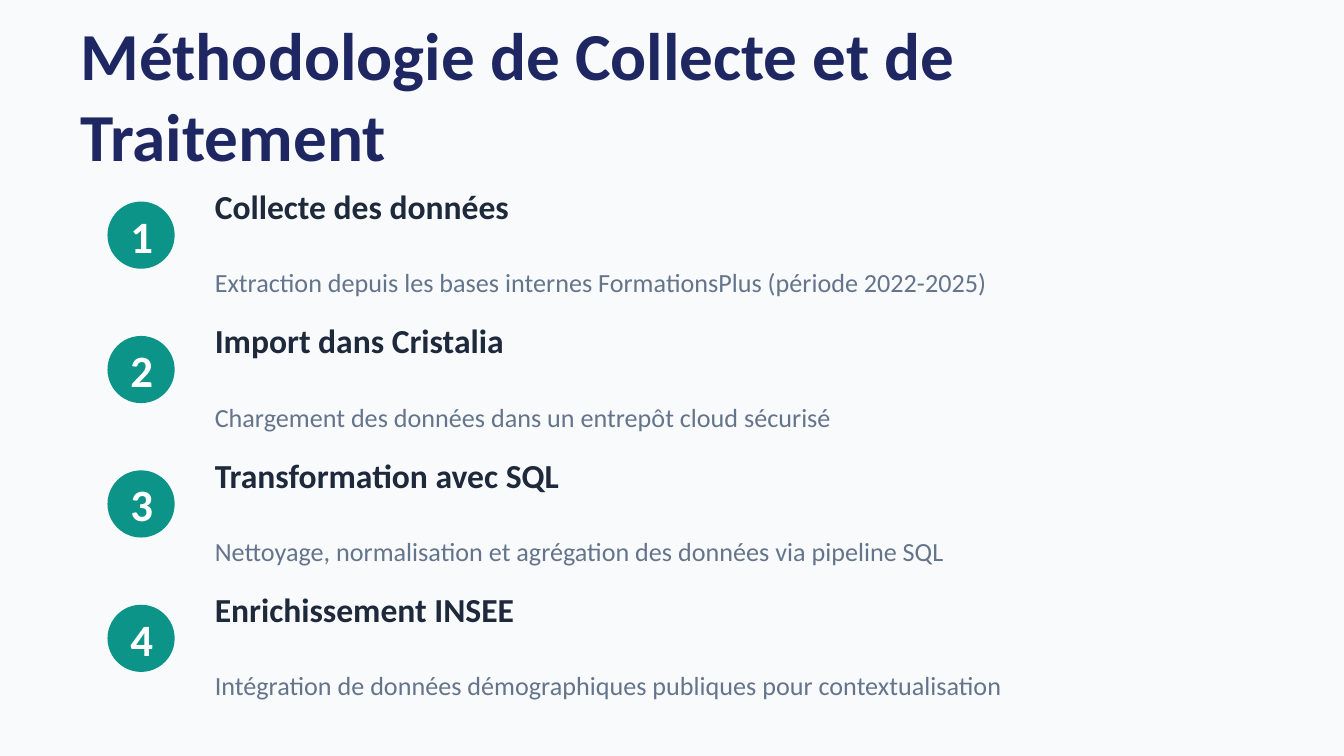
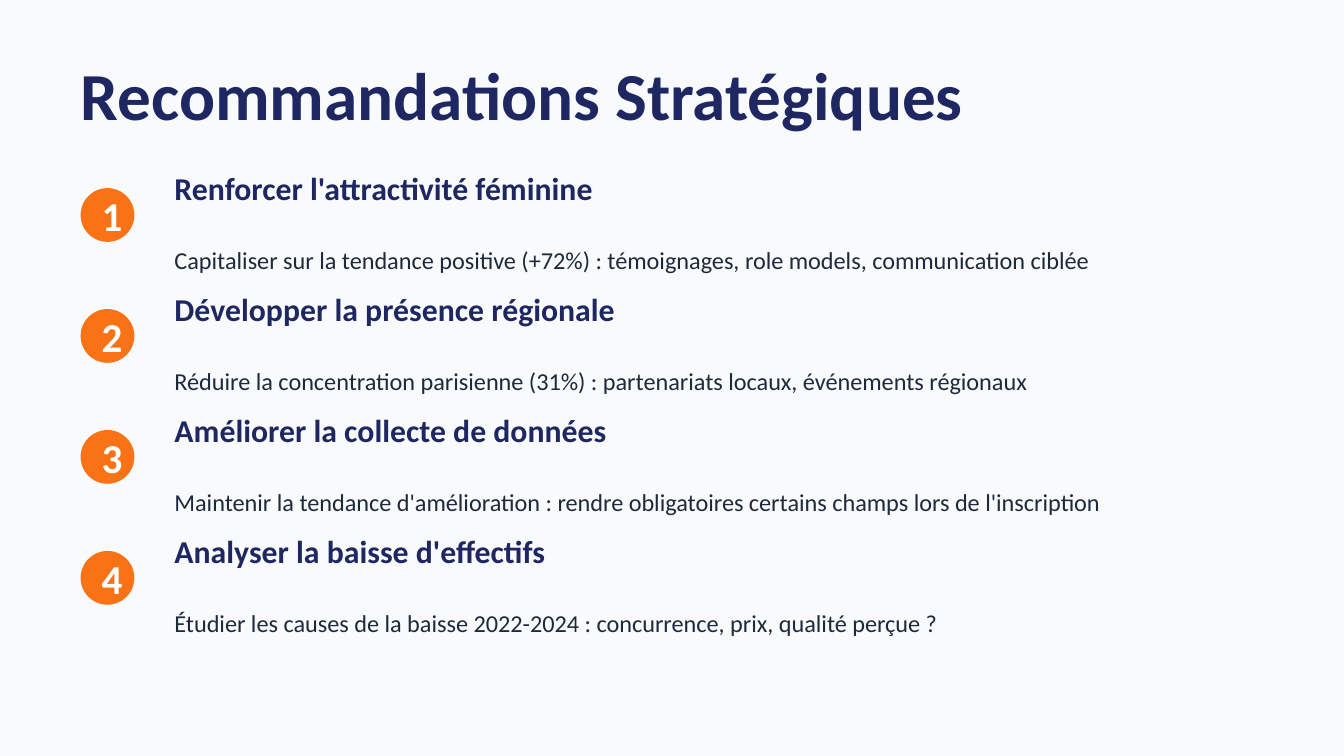
"""Build two numbered-step slides: data methodology and strategic recommendations."""
from dataclasses import dataclass

from pptx import Presentation
from pptx.dml.color import RGBColor
from pptx.enum.shapes import MSO_SHAPE as Preset
from pptx.enum.text import MSO_ANCHOR as Anchor, MSO_AUTO_SIZE as AutoSize, PP_ALIGN as Align
from pptx.util import Inches, Pt

NAVY = RGBColor(0x1E, 0x27, 0x61)
INK = RGBColor(0x1E, 0x29, 0x3B)
SLATE = RGBColor(0x64, 0x74, 0x8B)
TEAL = RGBColor(0x0D, 0x94, 0x88)
ORANGE = RGBColor(0xF9, 0x73, 0x16)
WHITE = RGBColor(0xFF, 0xFF, 0xFF)
MIST = RGBColor(0xF8, 0xFA, 0xFC)

FONT = "Calibri"
SLIDE_WIDTH = Inches(10)
SLIDE_HEIGHT = SLIDE_WIDTH * 9 // 16
CELL = SLIDE_WIDTH // 100
TITLE_BOX = (5, 4, 90, 6)


@dataclass(frozen=True)
class Step:
    heading: str
    detail: str


@dataclass(frozen=True)
class StepStyle:
    """Look of a step list, with lengths in grid cells and text sizes in points."""
    badge_col: int
    badge_size: int
    badge_color: RGBColor
    number_size: int
    text_col: int
    text_width: int
    text_height: int
    first_row: int
    pitch: int
    heading_size: int
    heading_color: RGBColor
    detail_size: int
    detail_color: RGBColor


@dataclass(frozen=True)
class StepSlide:
    title: str
    style: StepStyle
    steps: tuple[Step, ...]


METHOD_STYLE = StepStyle(
    badge_col=8, badge_size=5, badge_color=TEAL, number_size=24,
    text_col=15, text_width=80, text_height=8, first_row=14, pitch=10,
    heading_size=18, heading_color=INK, detail_size=14, detail_color=SLATE,
)
ADVICE_STYLE = StepStyle(
    badge_col=6, badge_size=4, badge_color=ORANGE, number_size=22,
    text_col=12, text_width=85, text_height=7, first_row=13, pitch=9,
    heading_size=17, heading_color=NAVY, detail_size=13, detail_color=INK,
)

SLIDES = (
    StepSlide("Méthodologie de Collecte et de Traitement", METHOD_STYLE, (
        Step("Collecte des données",
             "Extraction depuis les bases internes FormationsPlus (période 2022-2025)"),
        Step("Import dans Cristalia",
             "Chargement des données dans un entrepôt cloud sécurisé"),
        Step("Transformation avec SQL",
             "Nettoyage, normalisation et agrégation des données via pipeline SQL"),
        Step("Enrichissement INSEE",
             "Intégration de données démographiques publiques pour contextualisation"),
    )),
    StepSlide("Recommandations Stratégiques", ADVICE_STYLE, (
        Step("Renforcer l'attractivité féminine",
             "Capitaliser sur la tendance positive (+72%) : témoignages, role models, "
             "communication ciblée"),
        Step("Développer la présence régionale",
             "Réduire la concentration parisienne (31%) : partenariats locaux, "
             "événements régionaux"),
        Step("Améliorer la collecte de données",
             "Maintenir la tendance d'amélioration : rendre obligatoires certains champs "
             "lors de l'inscription"),
        Step("Analyser la baisse d'effectifs",
             "Étudier les causes de la baisse 2022-2024 : concurrence, prix, qualité perçue ?"),
    )),
)


def cells(*lengths: int) -> list[int]:
    return [length * CELL for length in lengths]


def format_text(paragraph, size: int, color: RGBColor, bold: bool = True,
                align: Align = Align.LEFT) -> None:
    paragraph.alignment = align
    for run in paragraph.runs:
        run.font.name = FONT
        run.font.size = Pt(size)
        run.font.bold = bold
        run.font.color.rgb = color


def set_title(slide, wording: str) -> None:
    title = slide.shapes.title
    title.left, title.top, title.width, title.height = cells(*TITLE_BOX)
    frame = title.text_frame
    frame.text = wording
    frame.word_wrap = True
    frame.auto_size = AutoSize.NONE
    frame.vertical_anchor = Anchor.MIDDLE
    format_text(frame.paragraphs[0], 36, NAVY)


def draw_badge(slide, number: int, row: int, style: StepStyle) -> None:
    badge = slide.shapes.add_shape(
        Preset.OVAL, *cells(style.badge_col, row, style.badge_size, style.badge_size))
    badge.shadow.inherit = False
    badge.fill.solid()
    badge.fill.fore_color.rgb = style.badge_color
    badge.line.fill.background()
    badge.text_frame.text = str(number)
    badge.text_frame.vertical_anchor = Anchor.MIDDLE
    format_text(badge.text_frame.paragraphs[0], style.number_size, WHITE, align=Align.CENTER)


def draw_step_text(slide, step: Step, row: int, style: StepStyle) -> None:
    frame = slide.shapes.add_textbox(
        *cells(style.text_col, row, style.text_width, style.text_height)).text_frame
    frame.word_wrap = True
    frame.vertical_anchor = Anchor.MIDDLE
    frame.text = f"{step.heading}\n{step.detail}"
    heading, detail = frame.paragraphs
    format_text(heading, style.heading_size, style.heading_color)
    format_text(detail, style.detail_size, style.detail_color, bold=False)
    detail.space_before = Pt(1.2 * style.heading_size)


def draw_slide(deck, content: StepSlide) -> None:
    slide = deck.slides.add_slide(deck.slide_layouts.get_by_name("Title Only"))
    slide.background.fill.solid()
    slide.background.fill.fore_color.rgb = MIST
    set_title(slide, content.title)
    style = content.style
    for index, step in enumerate(content.steps):
        row = style.first_row + index * style.pitch
        draw_badge(slide, index + 1, row + 1, style)
        draw_step_text(slide, step, row, style)


def main() -> None:
    deck = Presentation()
    deck.slide_width, deck.slide_height = SLIDE_WIDTH, SLIDE_HEIGHT
    for content in SLIDES:
        draw_slide(deck, content)
    deck.save("out.pptx")


if __name__ == "__main__":
    main()
